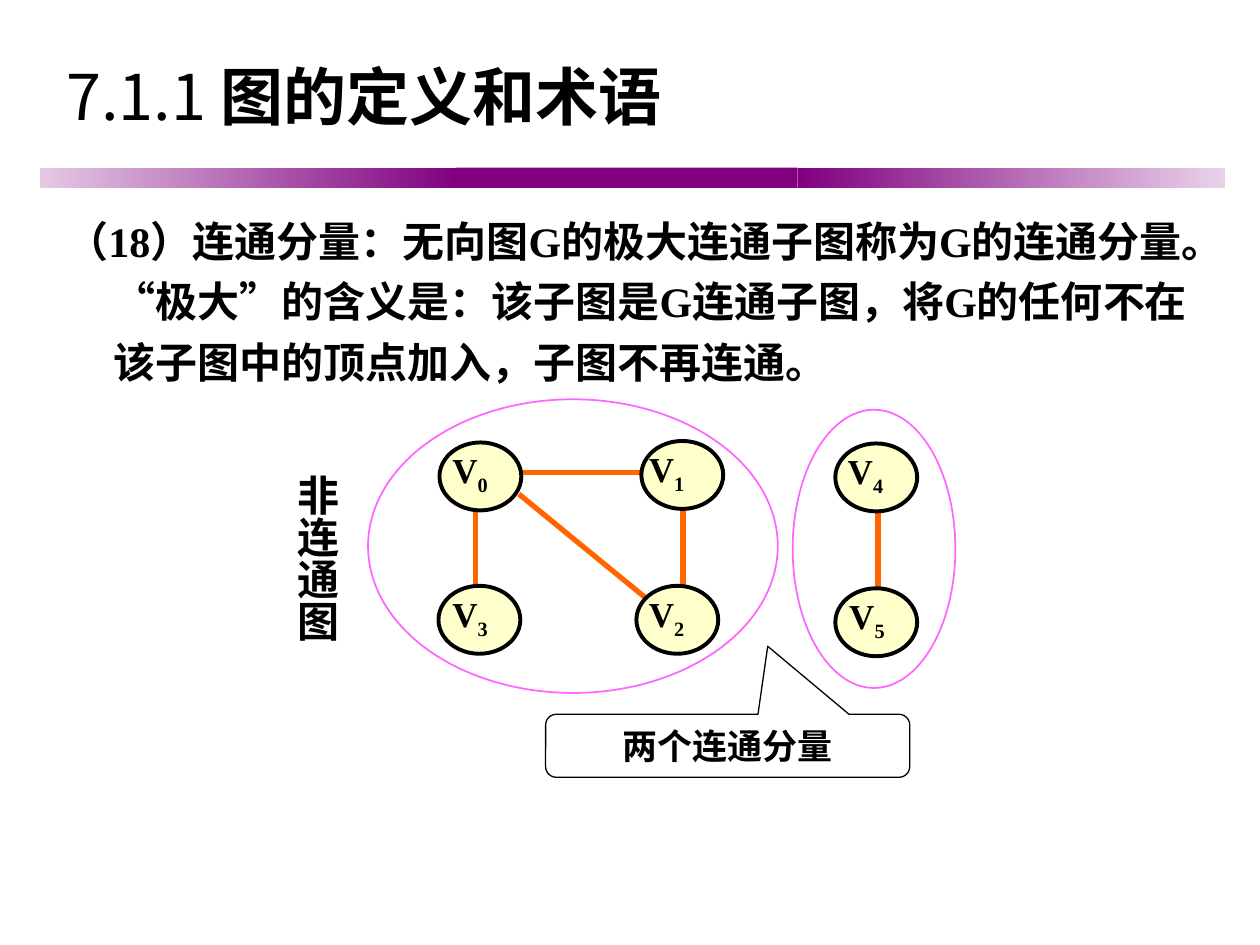
"""Build a slide on connected components of an undirected graph."""
import pptx
import pptx.dml.color
import pptx.enum.shapes
import pptx.enum.text
import pptx.oxml
import pptx.oxml.ns
import pptx.util
from pptx.util import Cm, Pt

SHAPE = pptx.enum.shapes.MSO_SHAPE
ALIGN = pptx.enum.text.PP_ALIGN
ANCHOR = pptx.enum.text.MSO_ANCHOR

SANS, SERIF = "Noto Sans CJK JP", "Times New Roman"
COLOURS = {
    "text": "000000",
    "bar": "800080",
    "bar_left": "E4C9E4",
    "bar_right": "E9D2E9",
    "component": "FF66FF",
    "edge": "FF6600",
    "diagonal": "FF6400",
    "node": "FFFFCC",
    "outline": "000000",
}
TITLE = [("7.1.1 ", False), ("图的定义和术语", True)]
DEFINITION = (
    "（18）连通分量：无向图G的极大连通子图称为G的连通分量。“极大”的含义是："
    "该子图是G连通子图，将G的任何不在该子图中的顶点加入，子图不再连通。"
)
GRAPH_KIND = "非连通图"
CALLOUT = "两个连通分量"
BARS = [
    (0.81, 8.41, ("bar_left", "bar")),
    (9.2, 6.88, ("bar",)),
    (16.08, 8.61, ("bar", "bar_right")),
]
COMPONENTS = [(7.42, 8.05, 8.26, 5.92), (15.98, 8.26, 3.28, 5.61)]
EDGES = [
    ("diagonal", 10.46, 9.96, 13.16, 12.17),
    ("edge", 9.58, 10.24, 9.58, 11.96),
    ("edge", 10.49, 9.53, 13.06, 9.53),
    ("edge", 13.77, 10.24, 13.77, 11.96),
    ("edge", 17.7, 10.16, 17.7, 11.89),
]
VERTICES = [
    ("0", 8.86, 8.92, 8.69),
    ("1", 12.93, 8.89, 12.65),
    ("2", 12.83, 11.81, 12.65),
    ("3", 8.84, 11.81, 8.69),
    ("4", 16.84, 8.94, 16.66),
    ("5", 16.84, 11.86, 16.69),
]


def colour(key):
    return pptx.dml.color.RGBColor.from_string(COLOURS[key])


def add_run(paragraph, text, size, latin=SERIF, bold=True):
    run = paragraph.add_run()
    run.text = text
    run.font.size = Pt(size)
    run.font.bold = bold
    run.font.name = latin
    run.font.color.rgb = colour("text")
    east_asian = pptx.oxml.parse_xml(
        f'<a:ea {pptx.oxml.ns.nsdecls("a")} typeface="{SANS}"/>'
    )
    run.font._element.find(pptx.oxml.ns.qn("a:latin")).addnext(east_asian)
    return run


def place(part, left, top, width, height):
    part.left, part.top, part.width, part.height = map(Cm, (left, top, width, height))


def set_frame(frame, anchor=ANCHOR.TOP, side=0.25, end=0.13):
    frame.word_wrap = True
    frame.auto_size = pptx.enum.text.MSO_AUTO_SIZE.NONE
    frame.vertical_anchor = anchor
    frame.margin_left = frame.margin_right = Cm(side)
    frame.margin_top = frame.margin_bottom = Cm(end)
    return frame.paragraphs[0]


def add_figure(slide, kind, box, fill=None, line=None, weight=1):
    figure = slide.shapes.add_shape(kind, *map(Cm, box))
    figure.shadow.inherit = False
    if fill:
        figure.fill.solid()
        figure.fill.fore_color.rgb = colour(fill)
    else:
        figure.fill.background()
    if line:
        figure.line.color.rgb = colour(line)
        figure.line.width = Pt(weight)
    else:
        figure.line.fill.background()
    return figure


def add_heading(slide):
    for left, width, shades in BARS:
        bar = add_figure(slide, SHAPE.RECTANGLE, (left, 3.38, width, 0.41), "bar")
        if len(shades) > 1:
            bar.fill.gradient()
            bar.fill.gradient_angle = 0
            for stop, shade in zip(bar.fill.gradient_stops, shades):
                stop.color.rgb = colour(shade)
    title = slide.shapes.title
    place(title, 1.09, 0.91, 23.01, 2.03)
    heading = set_frame(title.text_frame, ANCHOR.MIDDLE)
    heading.alignment = ALIGN.LEFT
    for text, bold in TITLE:
        add_run(heading, text, 36, SANS, bold)


def add_definition(slide):
    body = slide.placeholders[1]
    place(body, 1.09, 4.01, 23.39, 14.1)
    definition = set_frame(body.text_frame)
    properties = definition._p.get_or_add_pPr()
    properties.set("marL", str(Cm(0.95)))
    properties.set("indent", str(Cm(-0.95)))
    properties.append(
        pptx.oxml.parse_xml(f'<a:buNone {pptx.oxml.ns.nsdecls("a")}/>')
    )
    definition.line_spacing = 1.2
    definition.space_before = Pt(0)
    add_run(definition, DEFINITION, 24)


def add_graph(slide):
    kind = slide.shapes.add_textbox(Cm(5.51), Cm(9.32), Cm(1.52), Cm(4.45))
    caption = set_frame(kind.text_frame, side=0.13, end=0.25)
    kind.text_frame._txBody.bodyPr.set("vert", "eaVert")
    caption.alignment = ALIGN.CENTER
    add_run(caption, GRAPH_KIND, 24)

    for box in COMPONENTS:
        add_figure(slide, SHAPE.OVAL, box, line="component")
    for shade, *ends in EDGES:
        edge = slide.shapes.add_connector(
            pptx.enum.shapes.MSO_CONNECTOR.STRAIGHT, *map(Cm, ends)
        )
        edge.line.color.rgb = colour(shade)
        edge.line.width = Pt(3)
        edge._element.spPr.append(
            pptx.oxml.parse_xml(f'<a:effectLst {pptx.oxml.ns.nsdecls("a")}/>')
        )
    for subscript, left, top, label_left in VERTICES:
        add_figure(
            slide, SHAPE.OVAL, (left, top, 1.65, 1.37), "node", "outline", 2.25
        )
        label = slide.shapes.add_textbox(Cm(label_left), Cm(top), Cm(2.31), Cm(1.22))
        vertex = set_frame(label.text_frame, side=0.43)
        add_run(vertex, "V", 20)
        add_run(vertex, subscript, 20).font._element.set("baseline", "-25000")


def add_callout(slide):
    callout = add_figure(
        slide,
        SHAPE.ROUNDED_RECTANGULAR_CALLOUT,
        (11, 14.4, 7.34, 1.27),
        line="outline",
        weight=0.75,
    )
    for index, value in enumerate((0.11, -1.58, 0.17)):
        callout.adjustments[index] = value
    remark = set_frame(callout.text_frame, ANCHOR.MIDDLE)
    remark.alignment = ALIGN.CENTER
    add_run(remark, CALLOUT, 20)


def main():
    deck = pptx.Presentation()
    deck.slide_width, deck.slide_height = Cm(25.4), Cm(19.05)
    slide = deck.slides.add_slide(deck.slide_layouts[1])
    add_heading(slide)
    add_definition(slide)
    add_graph(slide)
    add_callout(slide)
    deck.save("out.pptx")


if __name__ == "__main__":
    main()
